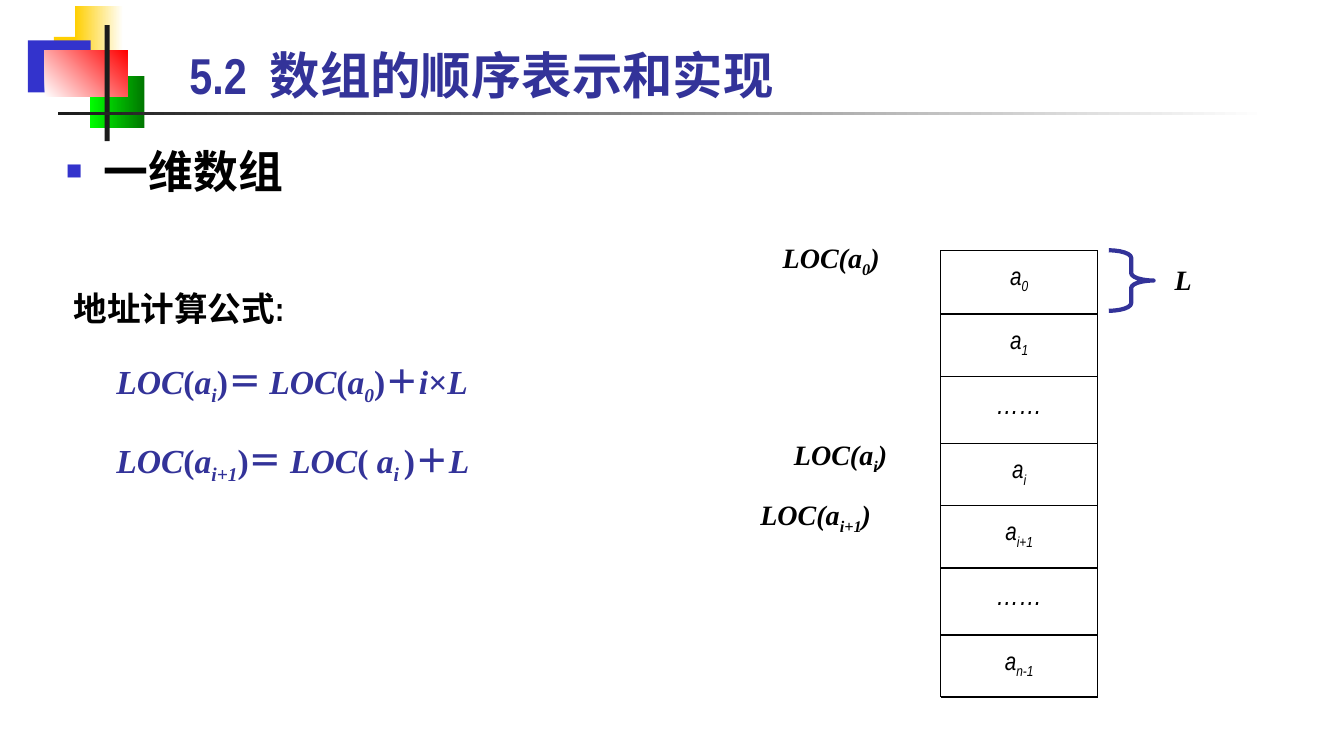
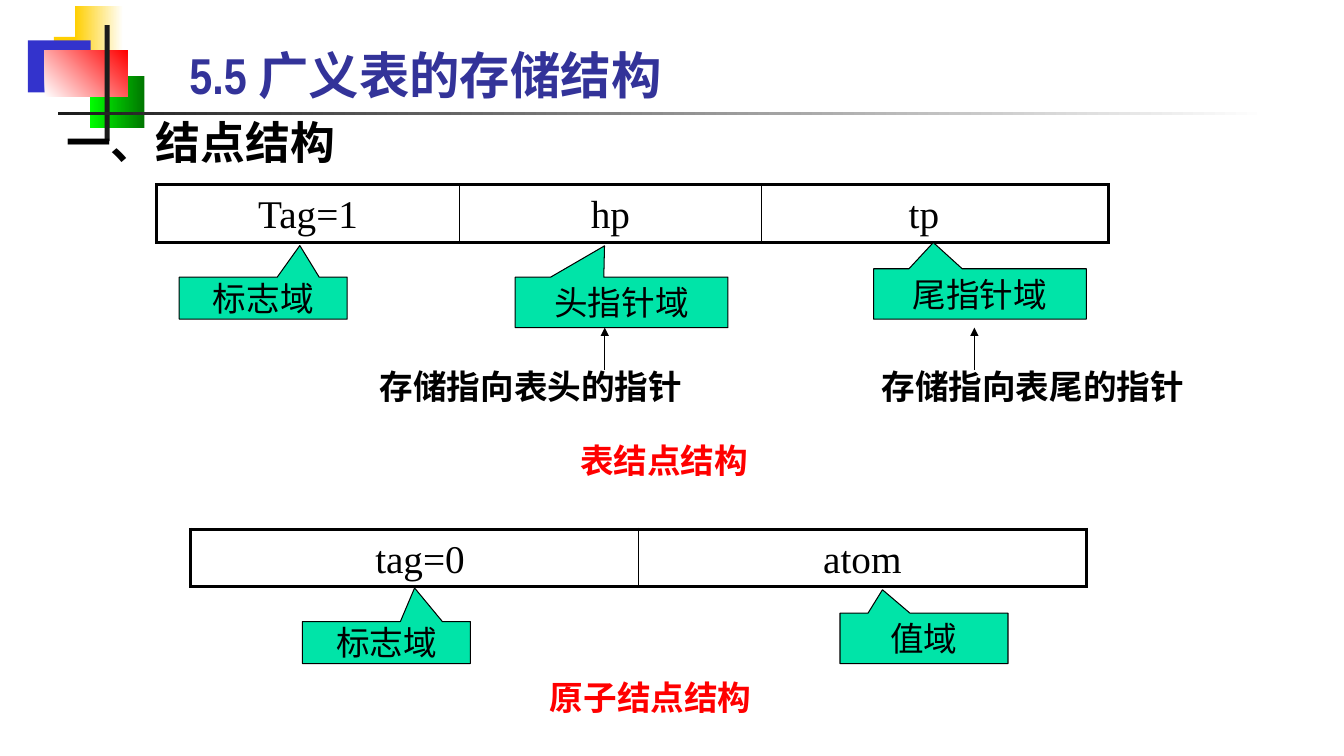
from itertools import accumulate, groupby

from lxml import etree
from pptx import Presentation
from pptx.dml.color import RGBColor
from pptx.enum.shapes import MSO_CONNECTOR, MSO_SHAPE
from pptx.enum.text import MSO_ANCHOR, MSO_AUTO_SIZE, PP_ALIGN
from pptx.oxml.ns import qn
from pptx.util import Inches, Pt

# Enum members
LEFT, CENTER = PP_ALIGN.LEFT, PP_ALIGN.CENTER
MIDDLE, BOTTOM = MSO_ANCHOR.MIDDLE, MSO_ANCHOR.BOTTOM
RECT, BRACE = MSO_SHAPE.RECTANGLE, MSO_SHAPE.RIGHT_BRACE
CALLOUT = MSO_SHAPE.RECTANGULAR_CALLOUT
STRAIGHT = MSO_CONNECTOR.STRAIGHT
NO_AUTOFIT = MSO_AUTO_SIZE.NONE

# Colours
BLACK = RGBColor(0x00, 0x00, 0x00)
WHITE = RGBColor(0xFF, 0xFF, 0xFF)
INK = RGBColor(0x1C, 0x1C, 0x1C)
NAVY = RGBColor(0x33, 0x33, 0x99)
BLUE = RGBColor(0x33, 0x33, 0xCC)
YELLOW = RGBColor(0xFF, 0xCF, 0x01)
LIME = RGBColor(0x00, 0xFF, 0x00)
GREEN = RGBColor(0x00, 0x76, 0x00)
RED = RGBColor(0xFF, 0x00, 0x00)
MINT = RGBColor(0x00, 0xE4, 0xA8)

SANS, SERIF = "Arial Narrow", "Times New Roman"

# Slide size and its grid
WIDTH, HEIGHT = Inches(40 / 3), Inches(7.5)
COLS, ROWS = 120, 90

# Corner ornament: column, row, columns, rows, colours, gradient angle
ORNAMENT = [
    (4.8, 4.4, 5.8, 6.2, (YELLOW,), 0),
    (6.7, 0.7, 4.3, 6.2, (YELLOW, WHITE), 0),
    (2.5, 4.8, 5.6, 6.2, (BLUE,), 0),
    (8, 9, 4.9, 6.2, (LIME, GREEN), 0),
    (4, 6, 7.4, 5.5, (WHITE, RED), 45),
    (9.35, 3, 0.45, 13.8, (INK,), 0),
    (5.2, 13.35, 108, 0.4, (INK, WHITE), 0),
]


def x(cols):
    return round(WIDTH * cols / COLS)


def y(rows):
    return round(HEIGHT * rows / ROWS)


def box(col, row, cols, rows):
    return x(col), y(row), x(cols), y(rows)


def write(p, text, size=24, font=SANS, color=BLACK, bold=False, italic=False,
          align=LEFT, spacing=None, before=None, upright=""):
    """Fill a paragraph; text between bars is subscript, upright characters are not italic."""
    p.alignment = align
    if spacing:
        p.line_spacing = spacing
    if before is not None:
        p.space_before = Pt(before)
    for i, part in enumerate(text.split("|")):
        for plain, chars in groupby(part, key=lambda ch: ch in upright):
            r = p.add_run()
            r.text = "".join(chars)
            f = r.font
            f.size, f.name, f.bold = Pt(size), font, bold
            f.italic = italic and not plain
            f.color.rgb = color
            if i % 2:
                r._r.get_or_add_rPr().set("baseline", "-25000")


def paint(shape, colors=(), angle=0, line=None, width=0.75):
    shape.shadow.inherit = False
    if len(colors) == 2:
        shape.fill.gradient()
        shape.fill.gradient_angle = angle
        for stop, color in zip(shape.fill.gradient_stops, colors):
            stop.color.rgb = color
    elif colors:
        shape.fill.solid()
        shape.fill.fore_color.rgb = colors[0]
    else:
        shape.fill.background()
    if line is None:
        shape.line.fill.background()
    else:
        shape.line.color.rgb, shape.line.width = line, Pt(width)


def add_border(cell, index, side, width):
    """Borders come before the fill in the cell properties, so index places them."""
    ln = etree.Element(qn("a:ln" + side), w=str(Pt(width)))
    fill = etree.SubElement(ln, qn("a:solidFill"))
    etree.SubElement(fill, qn("a:srgbClr"), val=str(BLACK))
    cell._tc.get_or_add_tcPr().insert(index, ln)


class Deck:
    def __init__(self):
        self.prs = Presentation()
        self.prs.slide_width, self.prs.slide_height = WIDTH, HEIGHT
        self.layout = self.prs.slide_layouts[1]
        self.s = None

    def slide(self, title):
        first = self.s is None
        self.s = self.prs.slides.add_slide(self.layout)
        if first:
            self.ornament()
        sp = self.s.shapes.title
        self.place(sp, 16, 3, 102.2, 10)
        sp.text_frame.vertical_anchor = BOTTOM
        write(sp.text_frame.paragraphs[0], title, size=36, color=NAVY, bold=True)

    def ornament(self):
        """Draw the corner ornament and hand it to the layout all slides share."""
        for i, (col, row, cols, rows, colors, angle) in enumerate(ORNAMENT):
            sp = self.shape(RECT, col, row, cols, rows, colors=colors, angle=angle)
            sp.element.nvSpPr.cNvPr.set("id", str(100 + i))
            self.layout.shapes.element.append(sp.element)

    def place(self, sp, *cells):
        sp.left, sp.top, sp.width, sp.height = box(*cells)
        sp.text_frame.auto_size = NO_AUTOFIT

    def body(self, text, *cells, bullet=None):
        sp = self.s.placeholders[1]
        self.place(sp, *cells)
        p = sp.text_frame.paragraphs[0]
        write(p, text, size=32, bold=True)
        pPr = p._p.get_or_add_pPr()
        pPr.set("marL", str(Pt(27)))
        pPr.set("indent", str(-Pt(27)))
        if bullet:
            color = etree.SubElement(pPr, qn("a:buClr"))
            etree.SubElement(color, qn("a:srgbClr"), val=str(BLUE))
            etree.SubElement(pPr, qn("a:buSzPct"), val="60000")
            etree.SubElement(pPr, qn("a:buChar"), char=bullet)
        else:
            etree.SubElement(pPr, qn("a:buNone"))

    def text(self, text, *cells, wrap=True, **fmt):
        tf = self.s.shapes.add_textbox(*box(*cells)).text_frame
        tf.word_wrap = wrap
        write(tf.paragraphs[0], text, **fmt)
        return tf

    def shape(self, kind, *cells, adjust=(), **style):
        sp = self.s.shapes.add_shape(kind, *box(*cells))
        for i, value in enumerate(adjust):
            sp.adjustments[i] = value
        paint(sp, **style)
        return sp

    def callout(self, text, *cells, tip):
        sp = self.shape(CALLOUT, *cells, adjust=tip, colors=(MINT,), line=BLACK)
        tf = sp.text_frame
        tf.word_wrap, tf.vertical_anchor = True, MIDDLE
        tf.margin_left = tf.margin_top = tf.margin_right = tf.margin_bottom = 0
        write(tf.paragraphs[0], text, align=CENTER)

    def line(self, col, row, end_col, end_row, width=1, arrow=False):
        cn = self.s.shapes.add_connector(STRAIGHT, x(col), y(row), x(end_col), y(end_row))
        cn.line.color.rgb, cn.line.width = BLACK, Pt(width)
        if arrow:
            etree.SubElement(cn.line._get_or_add_ln(), qn("a:tailEnd"), type="triangle")
        etree.SubElement(cn.element.spPr, qn("a:effectLst"))

    def frame(self, col, row, widths, height):
        """A one-row table with heavy outer and thin inner borders."""
        table = self.s.shapes.add_table(
            1, len(widths), *box(col, row, sum(widths), height)).table
        table.first_row = table.horz_banding = False
        for i, width in enumerate(widths):
            table.columns[i].width = x(width)
            cell = table.cell(0, i)
            cell.fill.background()
            borders = (("L", 1 if i else 2.25),
                       ("R", 1 if i < len(widths) - 1 else 2.25),
                       ("T", 2.25), ("B", 2.25))
            for index, (side, weight) in enumerate(borders):
                add_border(cell, index, side, weight)


def array_slide(deck):
    deck.slide("5.2  数组的顺序表示和实现")
    deck.body("一维数组", 5, 16.5, 111.9, 70.6, bullet="■")

    # Memory column
    left, right, top = 84, 98, 29.8
    items = ["a|0|", "a|1|", "……", "a|i|", "a|i+1|", "……", "a|n-1|"]
    heights = [7.6, 7.4, 8, 7.4, 7.4, 8, 7.4]
    edges = list(accumulate(heights, initial=top))
    for item, row, height in zip(items, edges, heights):
        deck.text(item, left, row, right - left, height, italic=True, align=CENTER,
                  size=20 if item == "……" else 18, spacing=1.15, before=3.6)
    for row in edges:
        deck.line(left, row, right, row)
    for col in (left, right):
        deck.line(col, top, col, edges[-1])

    # Addresses and element length
    label = dict(size=20, font=SERIF, bold=True, italic=True)
    for text, col, row, cols in (("LOC(a|0|)", 69, 28, 16),
                                 ("LOC(a|i|)", 70, 51.5, 15),
                                 ("LOC(a|i+1|)", 67, 58.6, 19),
                                 ("L", 104, 30.7, 8)):
        deck.text(text, col, row, cols, 5.2, **label)
    deck.shape(BRACE, 99, 29.8, 4, 7.2, adjust=(0.167, 0.5), line=NAVY, width=3)

    # Address formulas
    tf = deck.text(" 地址计算公式:", 5, 32, 64, 25.7, bold=True, spacing=1.35)
    for formula in ("LOC(a|i|)＝ LOC(a|0|)＋i×L",
                    "LOC(a|i+1|)＝ LOC( a|i |)＋L"):
        p = tf.add_paragraph()
        write(p, formula, font=SERIF, color=NAVY, bold=True, italic=True,
              spacing=1.35, before=12, upright="()＝＋×")
        p._p.get_or_add_pPr().set("marL", str(Inches(0.5)))


def list_slide(deck):
    deck.slide("5.5 广义表的存储结构")
    deck.body("一、结点结构", 5, 13, 43, 8)
    caption = dict(wrap=False, align=CENTER, bold=True)
    field = dict(size=28, font=SERIF, align=CENTER)

    # List node
    deck.frame(14, 22, [27, 27, 31], 6.84)
    for text, col, cols in (("Tag=1", 16, 23), ("hp", 42, 25), ("tp", 68, 29)):
        deck.text(text, col, 22, cols, 6.84, **field)
    deck.callout("标志域", 16, 33, 15, 5, tip=(0.218, -1.254))
    deck.callout("头指针域", 46, 33, 19, 6, tip=(-0.08, -1.122))
    deck.callout("尾指针域", 78, 32, 19, 6, tip=(-0.219, -1.021))
    deck.text("存储指向表头的指针", 32.9, 43, 29, 6, **caption)
    deck.text("存储指向表尾的指针", 77.6, 43, 29.2, 6, font=SERIF, **caption)
    for col in (54, 87):
        deck.line(col, 44, col, 39, width=0.75, arrow=True)
    deck.text("表结点结构", 50.8, 51.8, 17, 6, font=SERIF, color=RED, **caption)

    # Atom node
    deck.frame(17, 63, [40, 40], 6.84)
    for text, col, cols in (("tag=0", 21, 33), ("atom", 58, 38)):
        deck.text(text, col, 63, cols, 6.84, **field)
    deck.callout("标志域", 27, 74, 15, 5, tip=(0.168, -1.3))
    deck.callout("值域", 75, 73, 15, 6, tip=(-0.247, -0.965))
    deck.text("原子结点结构", 48.1, 80, 20, 6, font=SERIF, color=RED, **caption)


def main():
    deck = Deck()
    array_slide(deck)
    list_slide(deck)
    deck.prs.save("out.pptx")


if __name__ == "__main__":
    main()
